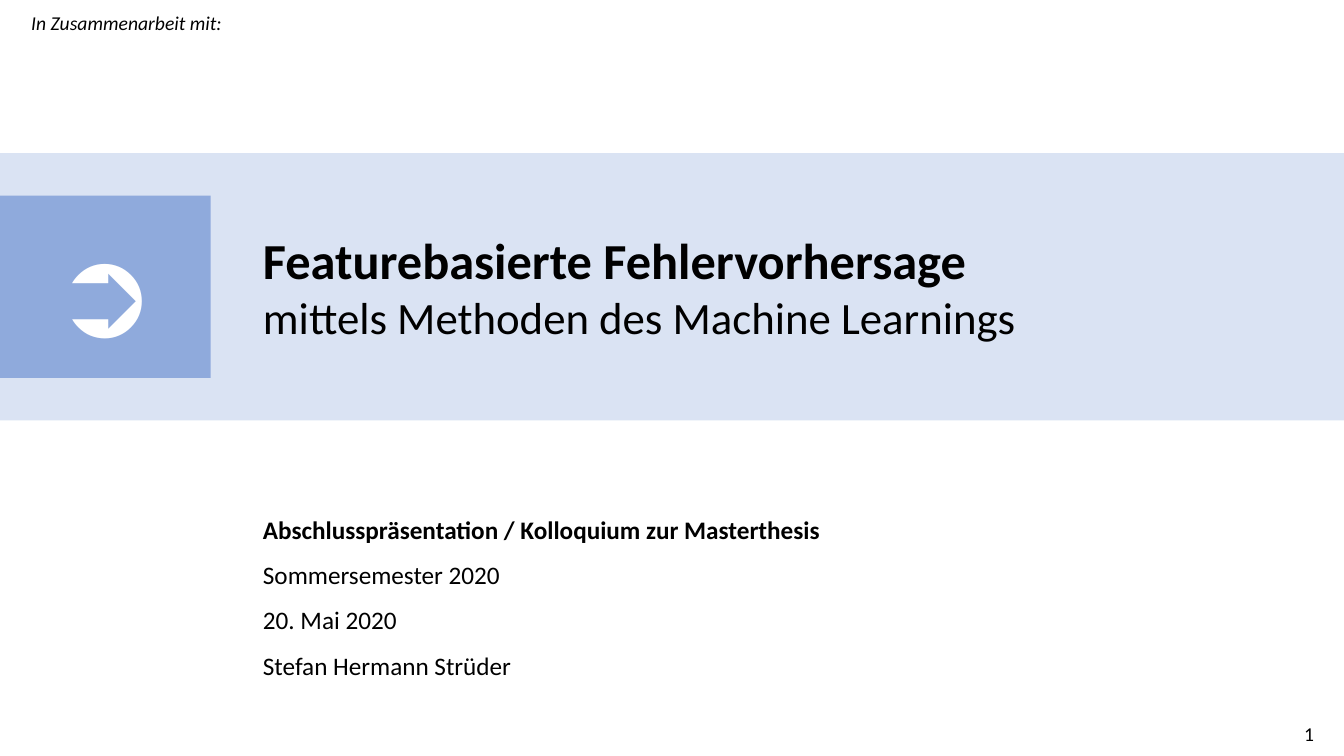
import pptx
import pptx.dml.color
import pptx.enum.shapes
import pptx.enum.text
import pptx.util

COLORS = {"band": "DAE3F3", "tile": "8FAADC", "text": "000000", "symbol": "FFFFFF"}
FONT = "Calibri"
WIDTH, HEIGHT = 13.33, 7.5
TEXT_LEFT = 2.51
ALIGN = pptx.enum.text.PP_ALIGN
ANCHOR = pptx.enum.text.MSO_ANCHOR


def rgb(name):
    return pptx.dml.color.RGBColor.from_string(COLORS[name])


def inches(box):
    return [pptx.util.Inches(length) for length in box]


def write_lines(shape, lines, color="text", align=ALIGN.LEFT, spacing=None):
    """Fill a shape with lines given as (text, size, style)."""
    frame = shape.text_frame
    for index, (text, size, style) in enumerate(lines):
        paragraph = frame.add_paragraph() if index else frame.paragraphs[0]
        paragraph.text = text
        paragraph.alignment = align
        if spacing:
            paragraph.line_spacing = spacing
        font = paragraph.font
        font.name, font.size = FONT, pptx.util.Pt(size)
        font.bold, font.italic = style == "bold", style == "italic"
        font.color.rgb = rgb(color)


def add_text(slide, box, lines, wrap=False, anchor=ANCHOR.TOP, **options):
    shape = slide.shapes.add_textbox(*inches(box))
    shape.text_frame.word_wrap = wrap
    shape.text_frame.vertical_anchor = anchor
    write_lines(shape, lines, **options)


def add_block(slide, box, color):
    shape = slide.shapes.add_shape(
        pptx.enum.shapes.MSO_SHAPE.RECTANGLE, *inches(box))
    shape.shadow.inherit = False
    shape.fill.solid()
    shape.fill.fore_color.rgb = rgb(color)
    shape.line.fill.background()
    return shape


def add_title_band(slide, left, top, width, height):
    add_block(slide, (left, top, width, height), "band")
    # Tile with arrow symbol, centred vertically in the band
    tile_height = 1.81
    tile_top = top + (height - tile_height) / 2
    tile = add_block(slide, (left, tile_top, 2.09, tile_height), "tile")
    tile.text_frame.vertical_anchor = ANCHOR.MIDDLE
    write_lines(tile, [("➲", 88, "plain")], color="symbol", align=ALIGN.CENTER)
    # Title and subtitle
    add_text(slide, (left + TEXT_LEFT, top + 0.7, 7.78, 1.25), [
        ("Featurebasierte Fehlervorhersage", 36, "bold"),
        ("mittels Methoden des Machine Learnings", 32, "plain"),
    ])


def add_details(slide, left, top, width, height):
    add_text(slide, (left, top, width, height), [
        ("Abschlusspräsentation / Kolloquium zur Masterthesis", 18, "bold"),
        ("Sommersemester 2020", 18, "plain"),
        ("20. Mai 2020", 18, "plain"),
        ("Stefan Hermann Strüder", 18, "plain"),
    ], spacing=1.5)


def add_margin_notes(slide, left, top, width, height):
    # Partner line at the top left, page number at the bottom right
    note_height = 0.34
    add_text(slide, (left, top, 2.11, note_height),
             [("In Zusammenarbeit mit:", 14, "italic")])
    number_width = 3.59
    add_text(slide, (left + width - number_width, top + height - note_height,
                     number_width, note_height),
             [("1", 14, "plain")], wrap=True, anchor=ANCHOR.MIDDLE,
             align=ALIGN.RIGHT)


def main():
    presentation = pptx.Presentation()
    presentation.slide_width, presentation.slide_height = inches((WIDTH, HEIGHT))
    slide = presentation.slides.add_slide(presentation.slide_layouts[6])
    add_title_band(slide, 0, 1.52, WIDTH, 2.65)
    add_details(slide, TEXT_LEFT, 4.9, 5.77, 1.87)
    add_margin_notes(slide, 0.21, 0.06, 12.92, 7.39)
    presentation.save("out.pptx")


if __name__ == "__main__":
    main()
